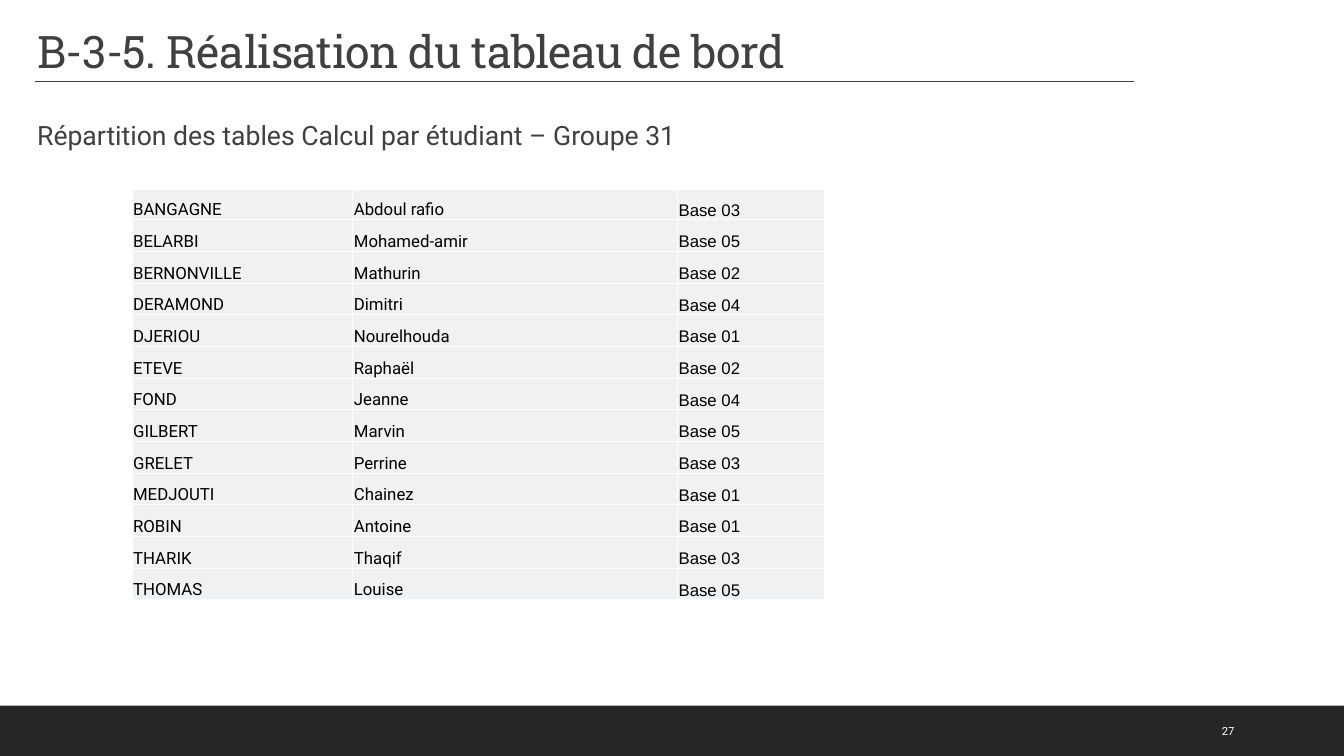
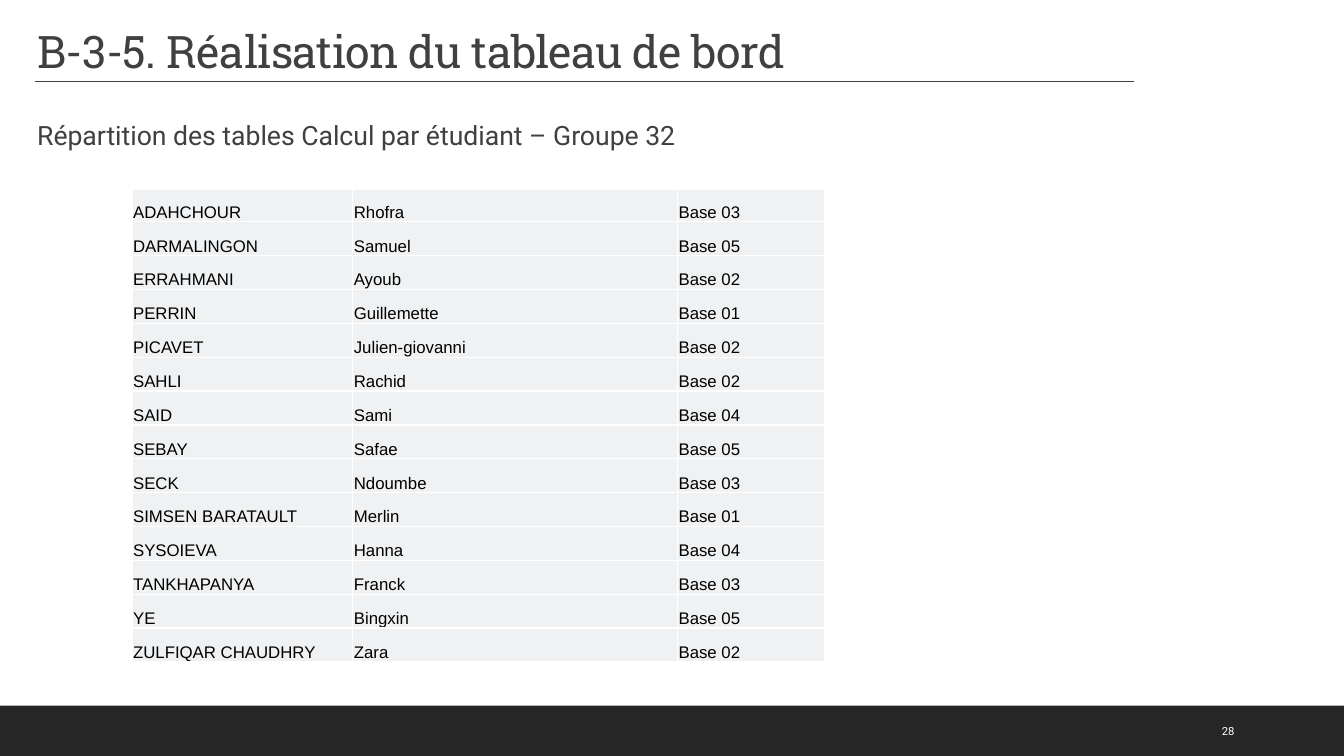
from lxml.etree import SubElement
from pptx import Presentation
from pptx.dml.color import RGBColor
from pptx.enum.shapes import MSO_CONNECTOR as Connector, MSO_SHAPE as Preset
from pptx.enum.text import MSO_ANCHOR as Anchor
from pptx.oxml import parse_xml
from pptx.oxml.ns import nsdecls, qn
from pptx.util import Inches, Pt

WIDTH, HEIGHT = Inches(13.33), Inches(7.5)
COLOURS = {
    "paper": "FFFFFF",
    "ink": "404040",
    "band": "262626",
    "cell": "EFF1F3",
    "table_text": "000000",
}
TITLE = "B-3-5. Réalisation du tableau de bord"
SUBTITLE = "Répartition des tables Calcul par étudiant – Groupe {}"
COLUMN_SHARES = (16.43, 24.16, 10.95)

GROUP_31 = [
    ("BANGAGNE", "Abdoul rafio", "Base 03"),
    ("BELARBI", "Mohamed-amir", "Base 05"),
    ("BERNONVILLE", "Mathurin", "Base 02"),
    ("DERAMOND", "Dimitri", "Base 04"),
    ("DJERIOU", "Nourelhouda", "Base 01"),
    ("ETEVE", "Raphaël", "Base 02"),
    ("FOND", "Jeanne", "Base 04"),
    ("GILBERT", "Marvin", "Base 05"),
    ("GRELET", "Perrine", "Base 03"),
    ("MEDJOUTI", "Chainez", "Base 01"),
    ("ROBIN", "Antoine", "Base 01"),
    ("THARIK", "Thaqif", "Base 03"),
    ("THOMAS", "Louise", "Base 05"),
]
GROUP_32 = [
    ("ADAHCHOUR", "Rhofra", "Base 03"),
    ("DARMALINGON", "Samuel", "Base 05"),
    ("ERRAHMANI", "Ayoub", "Base 02"),
    ("PERRIN", "Guillemette", "Base 01"),
    ("PICAVET", "Julien-giovanni", "Base 02"),
    ("SAHLI", "Rachid", "Base 02"),
    ("SAID", "Sami", "Base 04"),
    ("SEBAY", "Safae", "Base 05"),
    ("SECK", "Ndoumbe", "Base 03"),
    ("SIMSEN BARATAULT", "Merlin", "Base 01"),
    ("SYSOIEVA", "Hanna", "Base 04"),
    ("TANKHAPANYA", "Franck", "Base 03"),
    ("YE", "Bingxin", "Base 05"),
    ("ZULFIQAR CHAUDHRY", "Zara", "Base 02"),
]


def across(percent):
    return round(WIDTH * percent / 100)


def down(percent):
    return round(HEIGHT * percent / 100)


def area(left, top, width, height):
    """Turn percentages of the slide into a position and a size."""
    return across(left), down(top), across(width), down(height)


def colour(name):
    return RGBColor.from_string(COLOURS[name])


def style_font(para, name, size, ink):
    para.font.name = name
    para.font.size = Pt(size)
    para.font.color.rgb = colour(ink)


def add_text(page, place, text, name, size, ink, anchor=Anchor.TOP):
    box = page.shapes.add_textbox(*place)
    frame = box.text_frame
    frame.word_wrap = True
    frame.vertical_anchor = anchor
    para = frame.paragraphs[0]
    para.text = text
    style_font(para, name, size, ink)
    return para


def add_band(page):
    band = page.shapes.add_shape(Preset.RECTANGLE, *area(0, 93.33, 100, 6.67))
    band.shadow.inherit = False
    band.fill.solid()
    band.fill.fore_color.rgb = colour("band")
    band.line.fill.background()


def add_title_rule(page):
    rule = page.shapes.add_connector(
        Connector.STRAIGHT, across(2.63), down(10.8), across(84.4), down(10.8))
    rule.line.color.rgb = colour("ink")
    rule.line.width = Pt(1)
    SubElement(rule._element.spPr, qn("a:effectLst"))


def add_heading(page, group):
    title = add_text(page, area(2.03, 0.67, 80.48, 10.27), TITLE,
                     "Roboto Slab", 32, "ink", Anchor.BOTTOM)
    title.line_spacing = 0.9
    title.runs[0].font._element.set("spc", "-50")
    subtitle = add_text(page, area(2.03, 14.67, 94.6, 74.27),
                        SUBTITLE.format(group), "Roboto", 19, "ink")
    subtitle.line_spacing = 1.1
    subtitle.space_before, subtitle.space_after = Pt(12), Pt(2)


def set_borders(cell):
    """Rule all four sides of a cell with a 1 pt paper-coloured line."""
    properties = cell._tc.get_or_add_tcPr()
    for position, side in enumerate(("lnL", "lnR", "lnT", "lnB")):
        properties.insert(position, parse_xml(
            f'<a:{side} {nsdecls("a")} w="{Pt(1)}"><a:solidFill>'
            f'<a:srgbClr val="{COLOURS["paper"]}"/></a:solidFill></a:{side}>'))


def fill_cell(cell, text, font_name):
    cell.margin_left = cell.margin_right = cell.margin_top = Inches(0.01)
    cell.margin_bottom = 0
    cell.vertical_anchor = Anchor.BOTTOM
    cell.fill.solid()
    cell.fill.fore_color.rgb = colour("cell")
    set_borders(cell)
    para = cell.text_frame.paragraphs[0]
    para.text = text
    style_font(para, font_name, 12, "table_text")


def add_student_table(page, students, fonts, first_row, height):
    """Draw the students; the rows after the first share what height is left."""
    place = area(9.83, 25.07, sum(COLUMN_SHARES), height)
    table = page.shapes.add_table(
        len(students), len(COLUMN_SHARES), *place).table
    table.first_row = table.horz_banding = False
    for column, share in zip(table.columns, COLUMN_SHARES):
        column.width = across(share)
    other_row = (height - first_row) / (len(students) - 1)
    for index, (row, student) in enumerate(zip(table.rows, students)):
        row.height = down(other_row if index else first_row)
        for cell, text, font_name in zip(row.cells, student, fonts):
            fill_cell(cell, text, font_name)


def add_page(deck, number, group):
    page = deck.slides.add_slide(deck.slide_layouts[6])
    page.background.fill.solid()
    page.background.fill.fore_color.rgb = colour("paper")
    add_band(page)
    add_title_rule(page)
    add_heading(page, group)
    add_text(page, area(90.17, 94, 6.38, 5.33), str(number),
             "Roboto", 8, "paper", Anchor.MIDDLE)
    return page


def main():
    deck = Presentation()
    deck.slide_width, deck.slide_height = WIDTH, HEIGHT
    add_student_table(add_page(deck, 27, 31), GROUP_31,
                      ("Roboto", "Roboto", "Arial"), 4, 54.27)
    add_student_table(add_page(deck, 28, 32), GROUP_32,
                      ("Arial",) * 3, 4.27, 62.53)
    deck.save("out.pptx")


if __name__ == "__main__":
    main()
